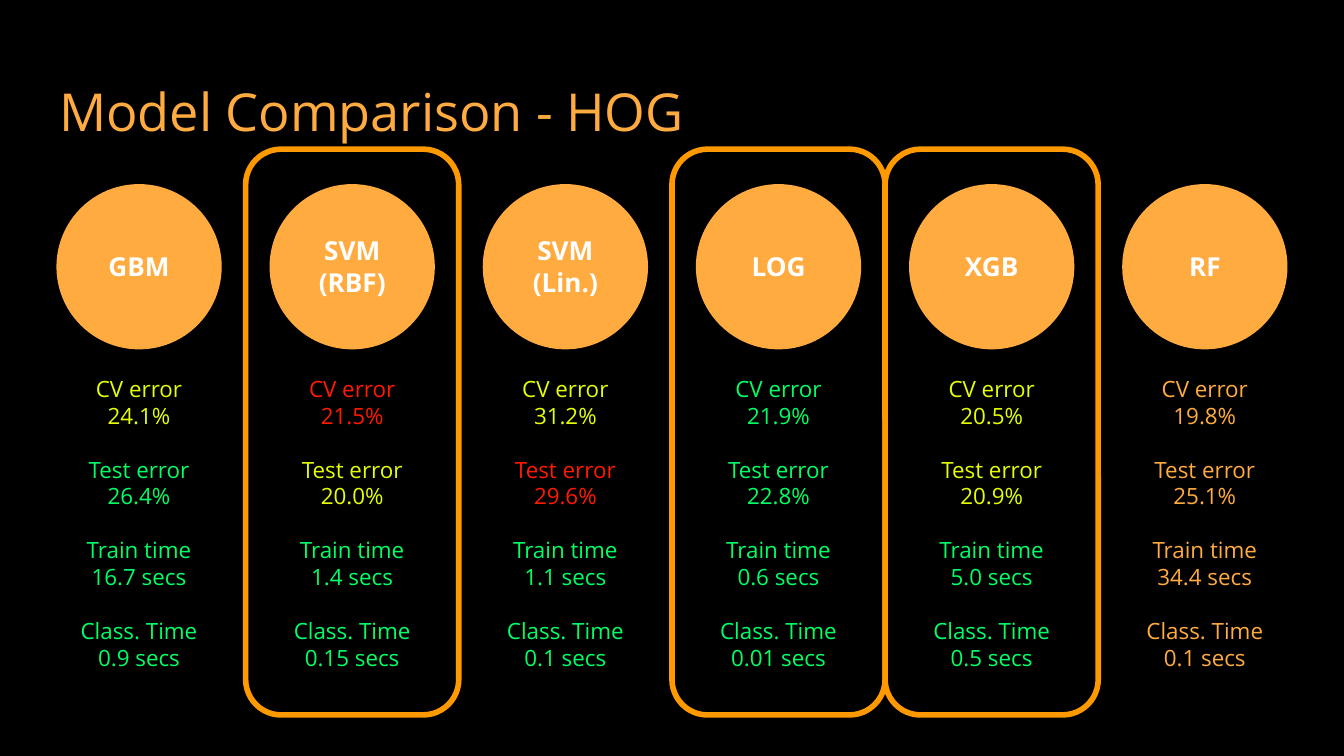
from dataclasses import dataclass

from pptx import Presentation
from pptx import util as u
from pptx.dml.color import RGBColor
from pptx.enum import shapes, text


@dataclass(frozen=True)
class Theme:
    font: str = "Open Sans"
    back: str = "000000"
    white: str = "FFFFFF"
    amber: str = "FFAB40"
    frame: str = "FF9900"
    lime: str = "E6FF00"
    green: str = "00FF66"
    red: str = "FF1A00"
    title: float = 28
    label: float = 14
    body: float = 12
    gap: float = 14.4


@dataclass(frozen=True)
class Model:
    name: str
    values: tuple[str, ...]
    tones: tuple[str, ...]
    framed: bool = False


T = Theme()
METRICS = ("CV error", "Test error", "Train time", "Class. Time")
MODELS = (
    Model("GBM", ("24.1%", "26.4%", "16.7 secs", "0.9 secs"),
          (T.lime, T.green, T.green, T.green)),
    Model("SVM\n(RBF)", ("21.5%", "20.0%", "1.4 secs", "0.15 secs"),
          (T.red, T.lime, T.green, T.green), framed=True),
    Model("SVM\n(Lin.)", ("31.2%", "29.6%", "1.1 secs", "0.1 secs"),
          (T.lime, T.red, T.green, T.green)),
    Model("LOG", ("21.9%", "22.8%", "0.6 secs", "0.01 secs"),
          (T.green,) * 4, framed=True),
    Model("XGB", ("20.5%", "20.9%", "5.0 secs", "0.5 secs"),
          (T.lime, T.lime, T.green, T.green), framed=True),
    Model("RF", ("19.8%", "25.1%", "34.4 secs", "0.1 secs"),
          (T.amber,) * 4),
)

# Column grid, in inches
LEFT, LAST, DISC = 0.42, 8.35, 1.23
STEP = (LAST - LEFT) / (len(MODELS) - 1)
LABEL = 0.98


def box(x: float, y: float, w: float, h: float) -> tuple[u.Length, ...]:
    return tuple(u.Inches(n) for n in (x, y, w, h))


def rgb(tone: str) -> RGBColor:
    return RGBColor.from_string(tone)


def setup(frame, anchor=text.MSO_ANCHOR.TOP) -> None:
    """Give a text frame even insets, wrapping and an anchor."""
    frame.word_wrap = True
    frame.auto_size = text.MSO_AUTO_SIZE.NONE
    frame.vertical_anchor = anchor
    frame.margin_left = frame.margin_right = u.Inches(0.1)
    frame.margin_top = frame.margin_bottom = u.Inches(0.1)


def write(frame, words: str, *, size: float, tone: str, bold: bool = False,
          align=text.PP_ALIGN.CENTER, before: float = 0) -> None:
    """Append each line of words as a paragraph, with space before the first."""
    for i, line in enumerate(words.split("\n")):
        first = frame.paragraphs[0]
        para = frame.add_paragraph() if first.runs else first
        para.alignment = align
        para.space_before = u.Pt(0 if i else before)
        run = para.add_run()
        run.text = line
        run.font.name = T.font
        run.font.size = u.Pt(size)
        run.font.bold = bold
        run.font.color.rgb = rgb(tone)


def draw_model(slide, model: Model, x: float) -> None:
    # Disc
    disc = slide.shapes.add_shape(shapes.MSO_SHAPE.OVAL, *box(x, 1.37, DISC, DISC))
    disc.shadow.inherit = False
    disc.fill.solid()
    disc.fill.fore_color.rgb = rgb(T.amber)
    disc.line.fill.background()

    # Name
    inset = (DISC - LABEL) / 2
    name = slide.shapes.add_textbox(*box(x + inset, 1.78, LABEL, 0.4)).text_frame
    setup(name, text.MSO_ANCHOR.MIDDLE)
    write(name, model.name, size=T.label, tone=T.white, bold=True)

    # Scores
    scores = slide.shapes.add_textbox(*box(x, 2.69, DISC, 2.61)).text_frame
    setup(scores)
    for i, (metric, value, tone) in enumerate(zip(METRICS, model.values, model.tones)):
        write(scores, f"{metric}\n{value}", size=T.body, tone=tone,
              before=T.gap if i else 0)


def draw_frame(slide, x: float) -> None:
    left = x - (STEP - DISC) / 2
    frame = slide.shapes.add_shape(shapes.MSO_SHAPE.ROUNDED_RECTANGLE,
                                   *box(left, 1.11, STEP, 4.21))
    frame.shadow.inherit = False
    frame.fill.background()
    frame.line.color.rgb = rgb(T.frame)
    frame.line.width = u.Pt(3)


def main() -> None:
    # Widescreen page, 16 by 9
    deck = Presentation()
    deck.slide_width = u.Inches(10)
    deck.slide_height = deck.slide_width * 9 // 16
    slide = deck.slides.add_slide(deck.slide_layouts[5])
    slide.background.fill.solid()
    slide.background.fill.fore_color.rgb = rgb(T.back)

    # Title
    title = slide.shapes.title
    title.left, title.top, title.width, title.height = box(0.34, 0.49, 9.32, 0.63)
    setup(title.text_frame)
    write(title.text_frame, "Model Comparison - HOG", size=T.title, tone=T.amber,
          align=text.PP_ALIGN.LEFT)

    # Model columns, then the frames on top
    spots = [(model, LEFT + i * STEP) for i, model in enumerate(MODELS)]
    for model, x in spots:
        draw_model(slide, model, x)
    for model, x in spots:
        if model.framed:
            draw_frame(slide, x)

    deck.save("out.pptx")


if __name__ == "__main__":
    main()
